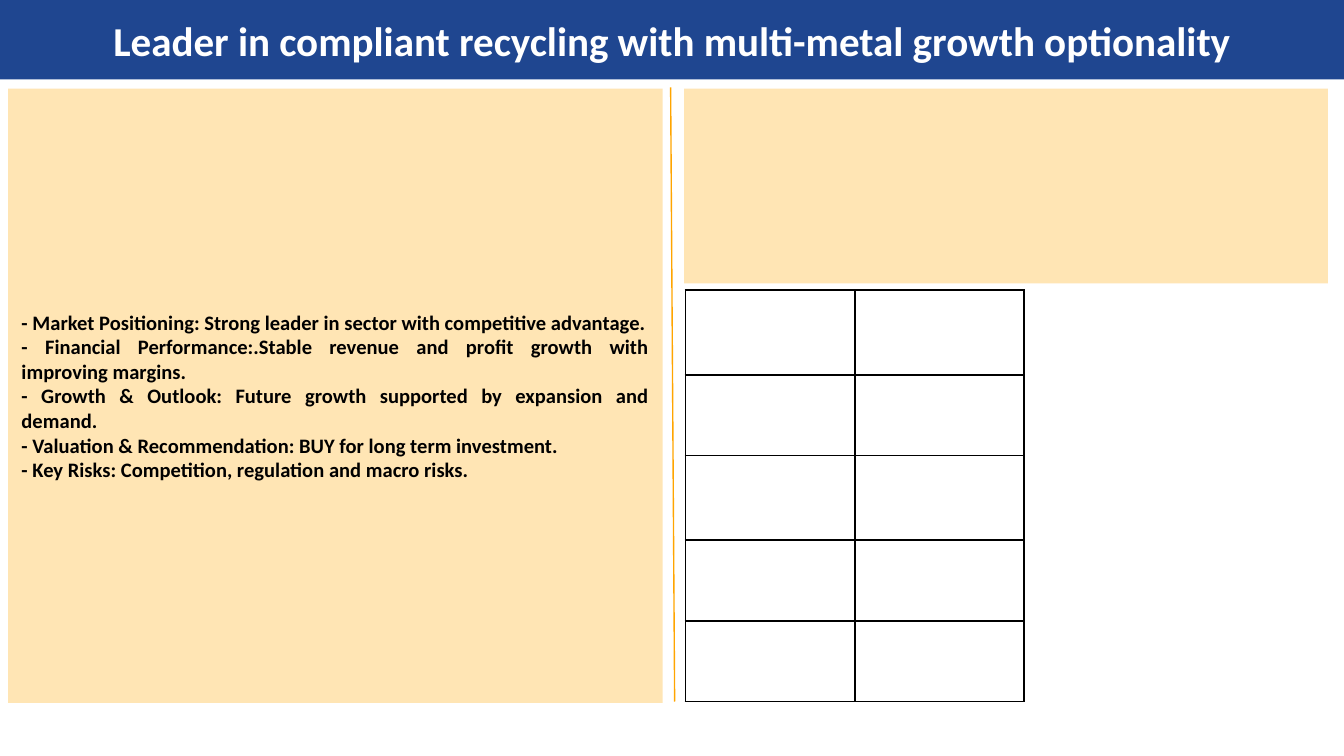
"""Build a one-slide investment summary with a text panel and an empty grid."""
from dataclasses import dataclass

from lxml import etree
from pptx import Presentation
from pptx.dml.color import RGBColor
from pptx.enum.shapes import MSO_CONNECTOR, MSO_SHAPE
from pptx.enum.text import MSO_ANCHOR, MSO_AUTO_SIZE, PP_ALIGN
from pptx.oxml.ns import qn
from pptx.util import Inches, Pt

STRAIGHT = MSO_CONNECTOR.STRAIGHT
RECTANGLE = MSO_SHAPE.RECTANGLE
MIDDLE = MSO_ANCHOR.MIDDLE
NO_AUTOFIT = MSO_AUTO_SIZE.NONE
CENTER, JUSTIFY = PP_ALIGN.CENTER, PP_ALIGN.JUSTIFY

WIDTH = 10
HEIGHT = WIDTH * 9 / 16
PANEL_TOP = 0.66
COLUMN_COUNT, COLUMN_WIDTH = 2, 1.26
ROW_HEIGHTS = (0.63, 0.6, 0.63, 0.6, 0.6)

TITLE = "Leader in compliant recycling with multi-metal growth optionality"
POINTS = (
    "- Market Positioning: Strong leader in sector with competitive advantage.",
    "- Financial Performance:.Stable revenue and profit growth with improving margins.",
    "- Growth & Outlook: Future growth supported by expansion and demand.",
    "- Valuation & Recommendation: BUY for long term investment.",
    "- Key Risks: Competition, regulation and macro risks.",
)


@dataclass(frozen=True)
class Theme:
    """Hold the colours, font and sizes of the slide."""

    banner: str = "1F4690"
    panel: str = "FFE5B4"
    divider: str = "FFA500"
    ink: str = "000000"
    paper: str = "FFFFFF"
    font: str = "Calibri"
    title_size: float = 22
    body_size: float = 11
    divider_width: float = 0.75
    border_width: float = 1


THEME = Theme()


def paint(shape, color):
    """Give a shape a plain fill."""
    shape.fill.solid()
    shape.fill.fore_color.rgb = RGBColor.from_string(color)


def place(shape, left, top, width, height):
    """Move and size a shape in inches."""
    shape.left, shape.top = Inches(left), Inches(top)
    shape.width, shape.height = Inches(width), Inches(height)


def write(box, lines, size, color, alignment):
    """Fill a placeholder with bold, unbulleted paragraphs."""
    frame = box.text_frame
    frame.text = "\n".join(lines)
    frame.word_wrap = True
    frame.auto_size = NO_AUTOFIT
    frame.vertical_anchor = MIDDLE
    frame.margin_left = frame.margin_right = Inches(0.1)
    frame.margin_top = frame.margin_bottom = Inches(0.1)
    for para in frame.paragraphs:
        para.alignment = alignment
        para.line_spacing = 1.0
        para.space_before = para.space_after = Pt(0)
        para.font.name = THEME.font
        para.font.size = Pt(size)
        para.font.bold = True
        para.font.color.rgb = RGBColor.from_string(color)
        properties = para._p.get_or_add_pPr()
        properties.set("marL", "0")
        properties.set("indent", "0")
        bullet = etree.Element(qn("a:buNone"))
        properties.find(qn("a:spcAft")).addnext(bullet)


def add_divider(slide, start, end):
    """Draw the thin line between the two halves."""
    line = slide.shapes.add_connector(STRAIGHT, *map(Inches, start + end))
    line.line.color.rgb = RGBColor.from_string(THEME.divider)
    line.line.width = Pt(THEME.divider_width)
    etree.SubElement(line._element.spPr, qn("a:effectLst"))


def add_panel(slide, left, top, width, height):
    """Add a plain coloured panel."""
    panel = slide.shapes.add_shape(RECTANGLE, *map(Inches, (left, top, width, height)))
    panel.shadow.inherit = False
    paint(panel, THEME.panel)
    panel.line.fill.background()


def outline(cell):
    """Draw all four borders of a table cell."""
    properties = cell._tc.get_or_add_tcPr()
    for side in ("lnL", "lnR", "lnT", "lnB"):
        border = etree.SubElement(properties, qn(f"a:{side}"), w=str(Pt(THEME.border_width)))
        fill = etree.SubElement(border, qn("a:solidFill"))
        etree.SubElement(fill, qn("a:srgbClr"), val=THEME.ink)


def add_grid(slide, left, top):
    """Add the empty bordered table."""
    size = COLUMN_COUNT * COLUMN_WIDTH, sum(ROW_HEIGHTS)
    frame = slide.shapes.add_table(
        len(ROW_HEIGHTS), COLUMN_COUNT, *map(Inches, (left, top, *size)))
    table = frame.table
    for row, height in zip(table.rows, ROW_HEIGHTS):
        row.height = Inches(height)
    for cell in table.iter_cells():
        outline(cell)
        cell.fill.background()


def main():
    """Build and save the deck."""
    deck = Presentation()
    deck.slide_width, deck.slide_height = Inches(WIDTH), Inches(HEIGHT)
    page = deck.slides.add_slide(deck.slide_layouts[1])
    title, body = page.placeholders

    place(title, 0, 0, WIDTH, 0.59)
    paint(title, THEME.banner)
    write(title, [TITLE], THEME.title_size, THEME.paper, CENTER)

    place(body, 0.06, PANEL_TOP, 4.87, 4.57)
    paint(body, THEME.panel)
    write(body, POINTS, THEME.body_size, THEME.ink, JUSTIFY)

    add_divider(page, (4.99, 0.65), (5.02, 5.22))
    add_grid(page, 5.1, 2.16)
    add_panel(page, 5.09, PANEL_TOP, 4.79, 1.45)
    deck.save("out.pptx")


if __name__ == "__main__":
    main()
